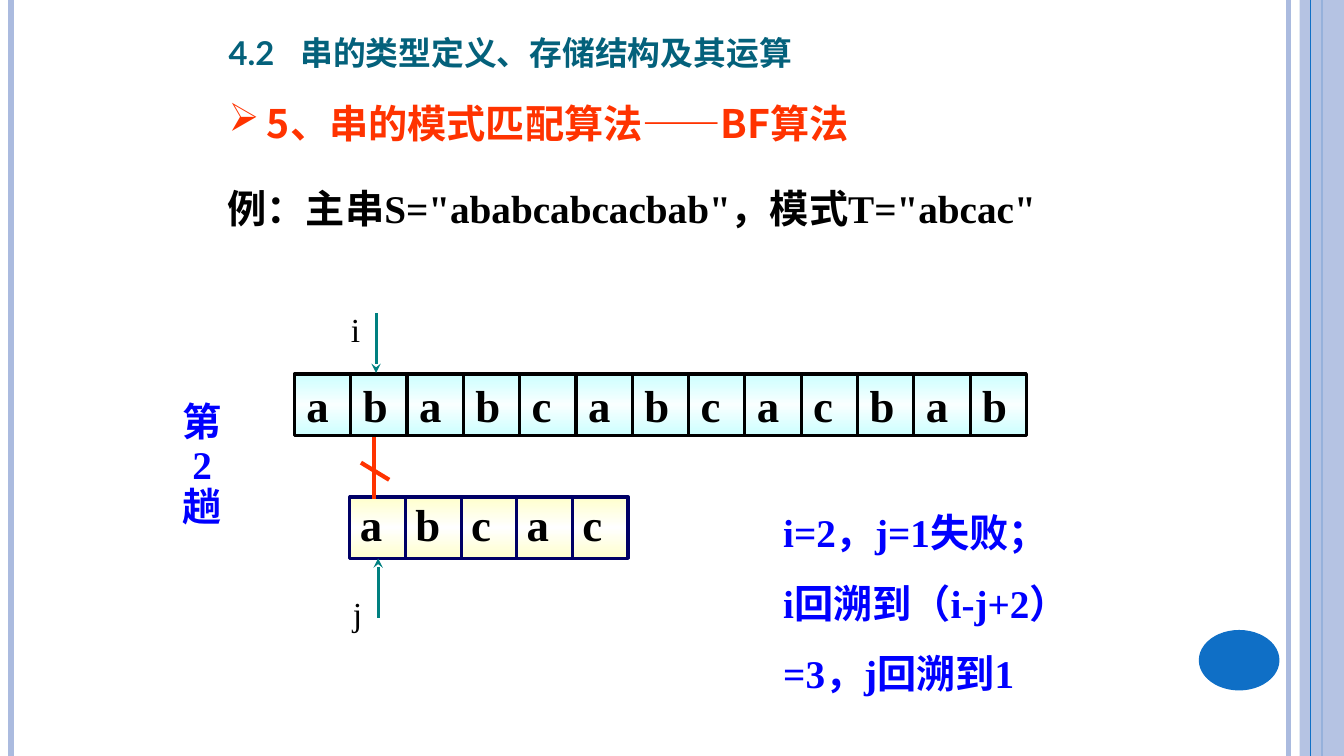
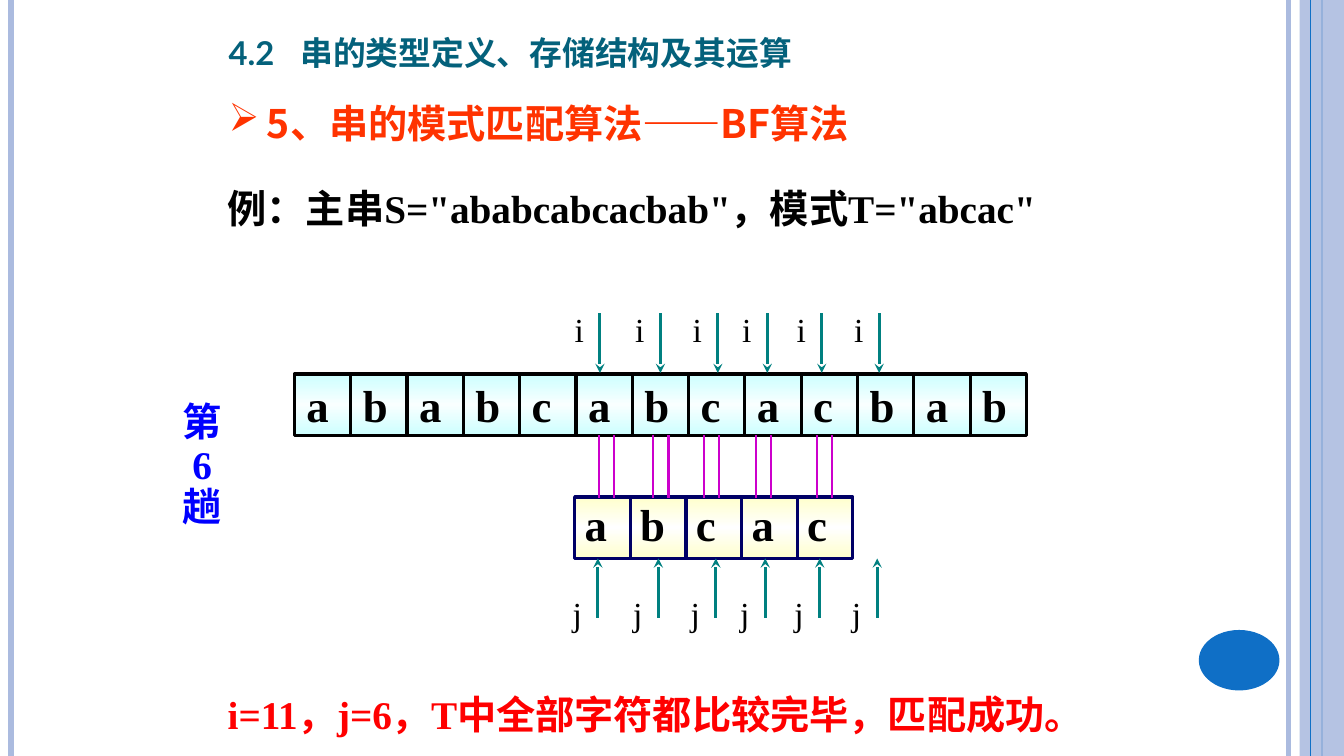
import copy
import pptx
import pptx.util
import pptx.dml.color
import pptx.enum.shapes
import pptx.enum.text
import pptx.oxml.ns
import lxml.etree

Inches = pptx.util.Inches
Pt = pptx.util.Pt
RGB = pptx.dml.color.RGBColor
qn = pptx.oxml.ns.qn
Sub = lxml.etree.SubElement
Align = pptx.enum.text.PP_ALIGN
Anchor = pptx.enum.text.MSO_ANCHOR
Kind = pptx.enum.shapes.MSO_SHAPE

PALE = RGB(0xAB, 0xBB, 0xDF)
BLUE = RGB(0x0F, 0x6F, 0xC6)
TEAL = RGB(0x04, 0x61, 0x7B)
ORANGE = RGB(0xFF, 0x33, 0x00)
BLACK = RGB(0, 0, 0)
WHITE = RGB(0xFF, 0xFF, 0xFF)
NOTE = RGB(0, 0, 0xFF)
RED = RGB(0xFF, 0, 0)
NAVY = RGB(0, 0, 0x66)
CYAN = RGB(0xCC, 0xFF, 0xFF)
ICE = RGB(0xF9, 0xFF, 0xFF)
CREAM = RGB(0xFF, 0xFF, 0xCC)
GREEN = RGB(0, 0x80, 0x80)
PINK = RGB(0xCC, 0, 0xCC)
SERIF = "Times New Roman"
HAN = "Noto Sans CJK SC"


def rule(slide, x1, y1, x2, y2, color, width):
    line = slide.shapes.add_connector(
        pptx.enum.shapes.MSO_CONNECTOR.STRAIGHT,
        Inches(x1), Inches(y1), Inches(x2), Inches(y2))
    line.line.color.rgb = color
    line.line.width = Pt(width)
    Sub(line._element.spPr, qn("a:effectLst"))
    return line


def write(shape, text, color, size=28, face=SERIF, bold=True, space=1.0):
    frame = shape.text_frame
    frame.word_wrap = True
    frame.text = text
    for para in frame.paragraphs:
        para.alignment = Align.LEFT
        para.line_spacing = space
        font = para.font
        font.name = face
        font.size = Pt(size)
        font.bold = bold
        font.color.rgb = color
        Sub(font._element, qn("a:ea"), typeface=HAN)
    return frame


RAILS = [(12.78, PALE, 3), (0.11, PALE, 4.5), (13.11, BLUE, 1.5), (13, BLUE, 0.75)]
MAIN = "ababcabcacbab"
MODEL = "abcac"
PASSES = [
    dict(turn="2", left=3.47, heads=[3.73], shift=0.02, equal=[],
         note="i=2，j=1失败；\ni回溯到（i-j+2）=3，j回溯到1",
         place=(7.67, 4.76, 3.7, 2.22), ink=NOTE, space=1.5),
    dict(turn="6", left=5.7, heads=[5.95, 6.55, 7.12, 7.61, 8.15, 8.72],
         shift=-0.02, equal=[5.94, 6.48, 6.98, 7.5, 8.1],
         note="i=11，j=6，T中全部字符都比较完毕，匹配成功。",
         place=(2.16, 6.8, 8.92, 0.57), ink=RED, space=1.0),
]

deck = pptx.Presentation()
deck.slide_width = Inches(13.33)
deck.slide_height = Inches(7.5)

for step in PASSES:
    slide = deck.slides.add_slide(deck.slide_layouts[6])
    shapes = slide.shapes

    for x, color, width in RAILS:
        if x == 13:
            band = shapes.add_shape(Kind.RECTANGLE, Inches(12.89), 0, Inches(0.44), Inches(7.5))
            band.shadow.inherit = False
            band.fill.solid()
            band.fill.fore_color.rgb = PALE
            band.line.fill.background()
            Sub(band._element.spPr.find(".//" + qn("a:srgbClr")), qn("a:alpha"), val="87000")
        rule(slide, x, 0, x, 7.5, color, width)
    disc = shapes.add_shape(Kind.OVAL, Inches(11.89), Inches(6.25), Inches(0.8), Inches(0.6))
    disc.shadow.inherit = False
    disc.fill.solid()
    disc.fill.fore_color.rgb = BLUE
    disc.line.fill.background()

    head = shapes.add_textbox(Inches(2.17), Inches(0.84), Inches(9.66), Inches(0.65))
    frame = write(head, "5、串的模式匹配算法——BF算法", ORANGE, face=HAN, space=1.2)
    props = frame.paragraphs[0]._p.pPr
    props.set("marL", str(Inches(0.38)))
    props.set("indent", str(Inches(-0.38)))
    mark = lxml.etree.Element(qn("a:buChar"), char="➢")
    props.find(qn("a:defRPr")).addprevious(mark)

    title = shapes.add_textbox(Inches(2.17), Inches(0.18), Inches(8.17), Inches(0.61))
    frame = write(title, "4.2\t串的类型定义、存储结构及其运算", TEAL, 29.2, "Lato", space=0.9)
    frame.vertical_anchor = Anchor.BOTTOM
    para = frame.paragraphs[0]
    para.font._element.set("cap", "small")
    tabs = lxml.etree.Element(qn("a:tabLst"))
    Sub(tabs, qn("a:tab"), pos=str(Inches(0.71)), algn="l")
    para.font._element.addprevious(tabs)

    given = shapes.add_textbox(Inches(2.16), Inches(1.78), Inches(8.92), Inches(0.57))
    write(given, "例：主串S=\"ababcabcacbab\"，模式T=\"abcac\"", BLACK)

    turn = shapes.add_textbox(Inches(1.7), Inches(3.95), Inches(0.71), Inches(1.37))
    frame = write(turn, "第\n" + step["turn"] + "\n趟", NOTE, space=0.9)
    frame.margin_right = Inches(0.2)
    for para in frame.paragraphs:
        para.alignment = Align.CENTER

    for word, left, top, wide, edge, tint, glow, inset, anchor in [
        (MAIN, 2.92, 3.71, 7.26, BLACK, CYAN, ICE, 0.12, Anchor.MIDDLE),
        (MODEL, step["left"], 4.93, 2.76, NAVY, CREAM, WHITE, 0.1, Anchor.TOP),
    ]:
        bar = shapes.add_shape(Kind.RECTANGLE, Inches(left), Inches(top), Inches(wide), Inches(0.61))
        bar.shadow.inherit = False
        bar.line.color.rgb = edge
        bar.line.width = Pt(2.25)
        bar.fill.gradient()
        bar.fill.gradient_angle = 90
        for stop in bar.fill.gradient_stops:
            stop.color.rgb = tint
        first = bar._element.spPr.find(".//" + qn("a:gs"))
        first.addnext(copy.deepcopy(first))
        middle = bar.fill.gradient_stops[1]
        middle.position = 0.5
        middle.color.rgb = glow

        frame = write(bar, "\t".join(word), BLACK, 32)
        frame.vertical_anchor = anchor
        frame.margin_left = Inches(inset)
        frame.margin_right = frame.margin_top = frame.margin_bottom = 0
        tabs = lxml.etree.Element(qn("a:tabLst"))
        frame.paragraphs[0].font._element.addprevious(tabs)
        pitch = wide / len(word)
        for n in range(1, len(word)):
            Sub(tabs, qn("a:tab"), pos=str(Inches(n * pitch)), algn="l")
            x = left + n * pitch
            rule(slide, x, top, x, top + 0.61, edge, 2.25)

    for x in step["equal"]:
        for side in (x, x + 0.15):
            rule(slide, side, 4.32, side, 4.94, PINK, 1.5)
    if not step["equal"]:
        rule(slide, 3.71, 4.34, 3.71, 4.95, ORANGE, 3)
        rule(slide, 3.58, 4.59, 3.86, 4.76, ORANGE, 3)

    for name, shift, start, end, top in [
        ("i", 0, 3.11, 3.7, 3.02),
        ("j", step["shift"], 6.13, 5.54, 5.83),
    ]:
        for x in step["heads"]:
            x += shift
            arrow = rule(slide, x, start, x, end, GREEN, 2.25)
            Sub(arrow.line._get_or_add_ln(), qn("a:tailEnd"), type="stealth")
            label = shapes.add_textbox(Inches(x - 0.25), Inches(top), Inches(0.25), Inches(0.5))
            frame = write(label, name, BLACK, 24, bold=False)
            frame.margin_left = frame.margin_right = 0

    note = shapes.add_textbox(*[Inches(v) for v in step["place"]])
    write(note, step["note"], step["ink"], space=step["space"])

deck.save("out.pptx")
